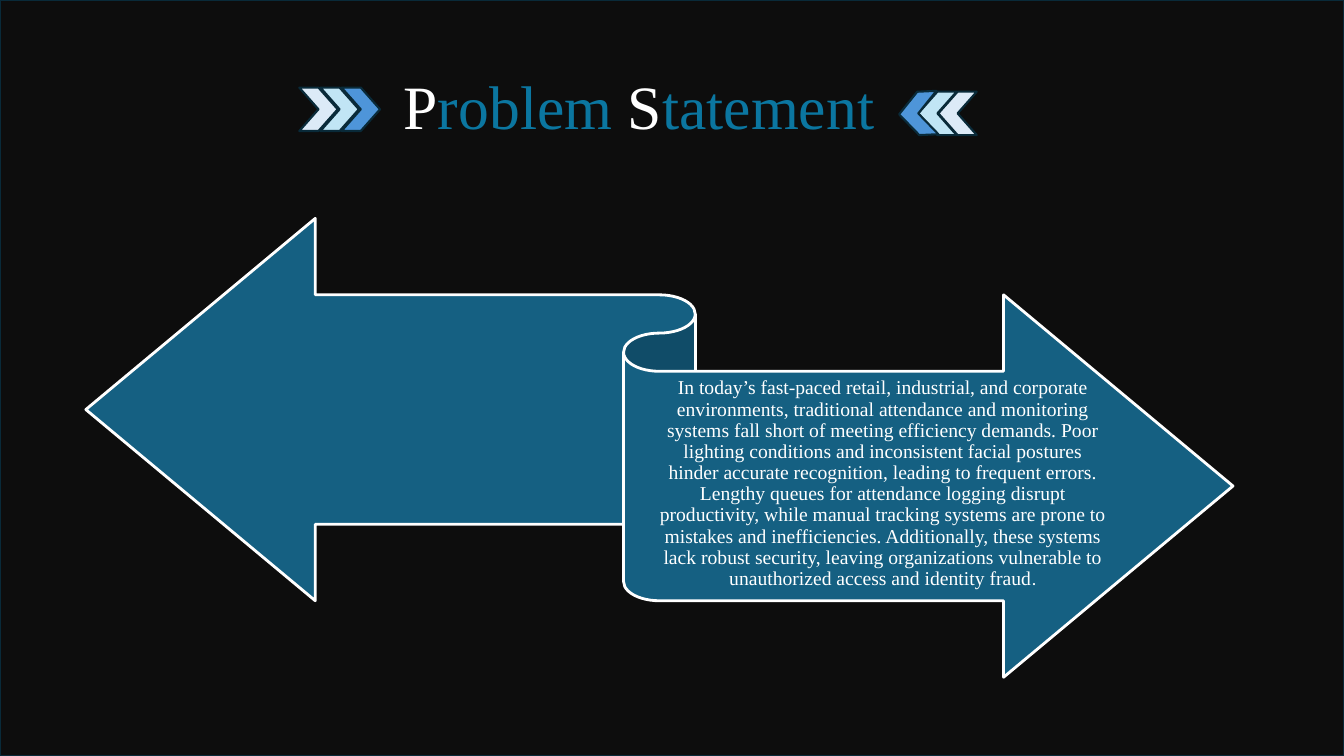
from pptx import Presentation
from pptx.dml.color import RGBColor
from pptx.enum.shapes import MSO_SHAPE as SHAPE
from pptx.enum.text import MSO_ANCHOR as ANCHOR, MSO_AUTO_SIZE as AUTO, PP_ALIGN as ALIGN
from pptx.util import Pt

SERIF = "Times New Roman"
WHITE, BLACK, NAVY, TEAL, BLUE = "FFFFFF", "0D0D0D", "092A39", "156082", "0B76A0"
DARK, MID, PALE = "4E95D9", "C1E5F5", "DCEAF7"

STATEMENT = (
    "In today’s fast-paced retail, industrial, and corporate environments, "
    "traditional attendance and monitoring systems fall short of meeting "
    "efficiency demands. Poor lighting conditions and inconsistent facial "
    "postures hinder accurate recognition, leading to frequent errors. "
    "Lengthy queues for attendance logging disrupt productivity, while manual "
    "tracking systems are prone to mistakes and inefficiencies. Additionally, "
    "these systems lack robust security, leaving organizations vulnerable to "
    "unauthorized access and identity fraud"
)


def rgb(value):
    return RGBColor.from_string(value)


class Deck:
    """Holds the presentation style and the current slide."""

    def __init__(self, width, height):
        self.prs = Presentation()
        self.prs.slide_width, self.prs.slide_height = Pt(width), Pt(height)
        self.s = self.prs.slides.add_slide(self.prs.slide_layouts[5])

    def shape(self, kind, box, fill, line, weight=1.5, rotation=0):
        sp = self.s.shapes.add_shape(kind, *map(Pt, box))
        sp.shadow.inherit = False
        sp.fill.solid()
        sp.fill.fore_color.rgb = rgb(fill)
        sp.line.color.rgb = rgb(line)
        sp.line.width = Pt(weight)
        sp.rotation = rotation
        return sp

    def fill_text(self, sp, runs, size, **frame):
        tf = sp.text_frame
        values = dict(word_wrap=True, auto_size=AUTO.NONE, vertical_anchor=ANCHOR.MIDDLE)
        for name, value in {**values, **frame}.items():
            setattr(tf, name, value)
        p = tf.paragraphs[0]
        p.alignment, p.line_spacing = ALIGN.CENTER, 0.9
        for text, color, font in runs:
            r = p.add_run()
            r.text = text
            for name, value in dict(size=Pt(size), name=font).items():
                setattr(r.font, name, value)
            r.font.color.rgb = rgb(color)

    def title(self, box, runs, size):
        sp = self.s.shapes.title
        sp.left, sp.top, sp.width, sp.height = map(Pt, box)
        self.fill_text(sp, runs, size)

    def text(self, box, runs, size, **frame):
        self.fill_text(self.s.shapes.add_textbox(*map(Pt, box)), runs, size, **frame)

    def chevrons(self, top, items):
        for left, fill, rotation in items:
            self.shape(SHAPE.CHEVRON, (left, top, 27.4, 31), fill, NAVY, rotation=rotation)


def main():
    deck = Deck(960, 540)

    # Backdrop, placed behind the title
    backdrop = deck.shape(SHAPE.RECTANGLE, (0, 0, 960, 540), BLACK, NAVY)
    deck.s.shapes.title.element.addprevious(backdrop.element)

    # Title
    words = [("P", WHITE), ("roblem ", BLUE), ("S", WHITE), ("tatement", BLUE)]
    deck.title((42.5, 26, 828, 104.4), [(t, c, SERIF) for t, c in words], 44)

    # Ribbon with the statement on its right half
    deck.shape(SHAPE.LEFT_RIGHT_RIBBON, (61.3, 156, 819.4, 327.8), TEAL, WHITE, 2)
    deck.text((470.9, 265.7, 319.7, 160.6),
              [(STATEMENT, WHITE, SERIF), (".", WHITE, "Roboto")], 14,
              margin_left=0, margin_right=0, margin_top=Pt(3.6), margin_bottom=Pt(4.3))

    # Chevrons on both sides of the title
    deck.chevrons(62.6, [(244, DARK, 0), (213.8, PALE, 0), (228.9, MID, 0)])
    deck.chevrons(65.5, [(670.3, PALE, 180), (655.9, MID, 180), (642.2, DARK, 177.3)])

    deck.prs.save("out.pptx")


if __name__ == "__main__":
    main()
